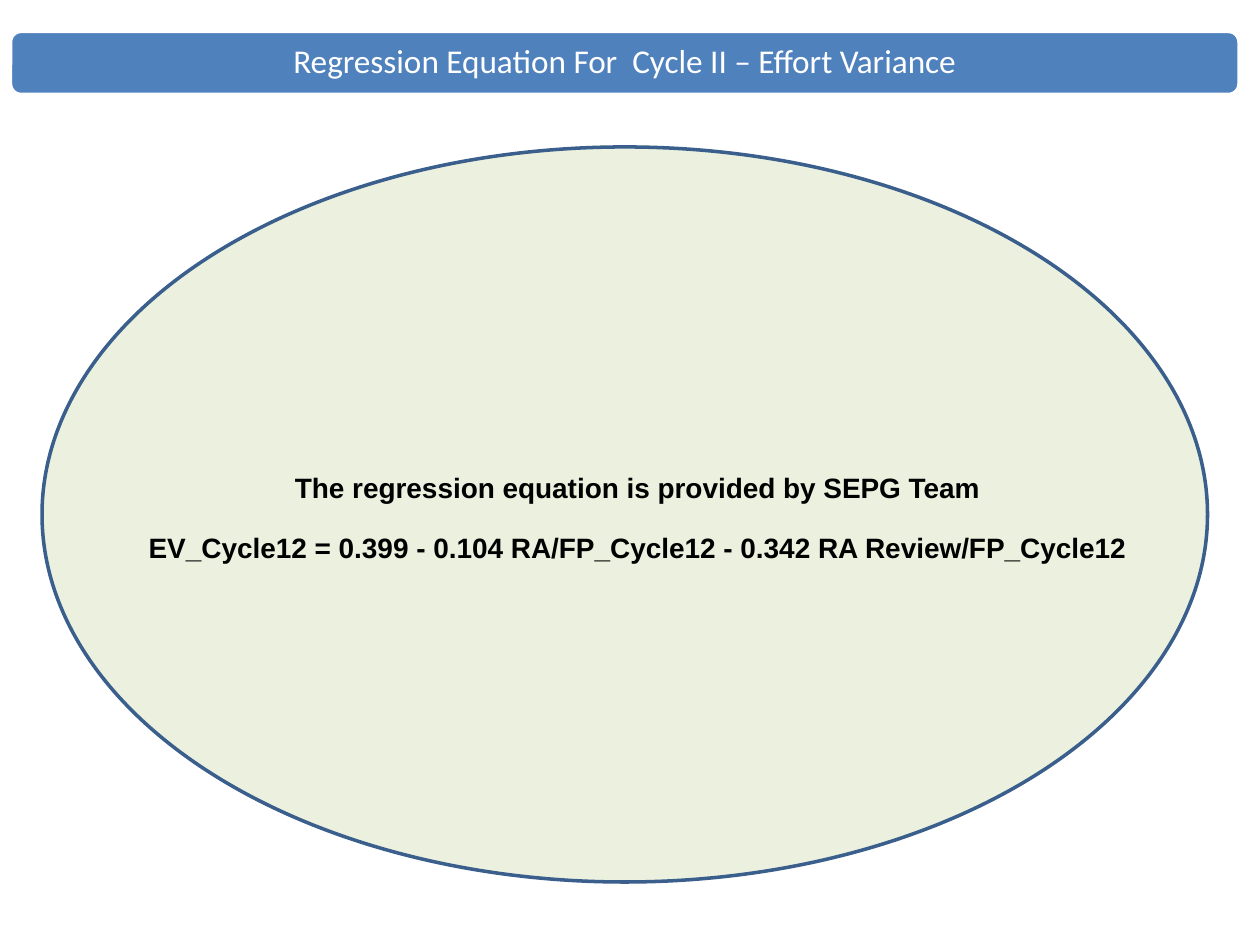
from lxml import etree
from pptx import Presentation
from pptx.dml.color import RGBColor
from pptx.enum.shapes import MSO_SHAPE
from pptx.enum.text import MSO_ANCHOR, PP_ALIGN
from pptx.oxml.ns import qn
from pptx.util import Pt

ROUND = MSO_SHAPE.ROUNDED_RECTANGLE
OVAL = MSO_SHAPE.OVAL
MIDDLE = MSO_ANCHOR.MIDDLE
BOTTOM = MSO_ANCHOR.BOTTOM
CENTER = PP_ALIGN.CENTER

WHITE = RGBColor(0xFF, 0xFF, 0xFF)
BLACK = RGBColor(0x00, 0x00, 0x00)
BLUE = RGBColor(0x4F, 0x81, 0xBD)
NAVY = RGBColor(0x3A, 0x5F, 0x8C)
GREEN = RGBColor(0xEB, 0xF1, 0xDE)

PLAIN = "{2D5ABB26-0587-4C30-8999-92F81FD0307C}"
TITLE = "Regression Equation For  Cycle II – Effort Variance"
LINES = (
    "The regression equation is provided by SEPG Team",
    "EV_Cycle12 = 0.399 - 0.104 RA/FP_Cycle12 - 0.342 RA Review/FP_Cycle12",
)
ROWS = (19.5, 18, 34.5, 34.5)
COLS = 8


def add_shape(slide, kind, box, fill, line):
    shape = slide.shapes.add_shape(kind, *map(Pt, box))
    shape.shadow.inherit = False
    shape.fill.solid()
    shape.fill.fore_color.rgb = fill
    shape.line.color.rgb = line
    shape.line.width = Pt(2)


def set_text(para, text, face, size, color, bold=False):
    para.text = text
    para.alignment = CENTER
    font = para.font
    font.name, font.size, font.bold = face, Pt(size), bold
    font.color.rgb = color


def set_inset(part, size):
    part.margin_left = part.margin_right = Pt(size)
    part.margin_top = part.margin_bottom = Pt(size)


def add_title(slide, box):
    frame = slide.shapes.add_textbox(*map(Pt, box)).text_frame
    frame.word_wrap = True
    frame.vertical_anchor = MIDDLE
    set_inset(frame, 5.76)
    para = frame.paragraphs[0]
    para.line_spacing = 0.9
    set_text(para, TITLE, "Calibri", 19, WHITE)


def clear_cell(cell):
    cell.fill.background()
    cell.vertical_anchor = BOTTOM
    set_inset(cell, 0)
    para = cell.text_frame.paragraphs[0]
    etree.SubElement(para._p, qn("a:endParaRPr"), sz="1000")


def add_table(slide, left, top, width):
    box = map(Pt, (left, top, width, sum(ROWS)))
    frame = slide.shapes.add_table(len(ROWS), COLS, *box)
    table = frame.table
    table.first_row = table.horz_banding = False
    table._tbl.tblPr.find(qn("a:tableStyleId")).text = PLAIN
    for row, height in zip(table.rows, ROWS):
        row.height = Pt(height)
    for col in table.columns:
        col.width = Pt(width / COLS)
    for cell in table.iter_cells():
        clear_cell(cell)
    table.cell(0, 0).merge(table.cell(0, COLS - 2))
    for row, text in enumerate(LINES, 2):
        cell = table.cell(row, 0)
        cell.merge(table.cell(row, COLS - 1))
        para = cell.text_frame.paragraphs[0]
        set_text(para, text, "Arial", 16, BLACK, True)


def main():
    deck = Presentation()
    deck.slide_width, deck.slide_height = Pt(720), Pt(540)
    slide = deck.slides.add_slide(deck.slide_layouts[6])
    add_shape(slide, ROUND, (6, 18, 702, 36), BLUE, WHITE)
    add_title(slide, (7.75, 19.75, 698.5, 32.5))
    add_shape(slide, OVAL, (24, 84, 666, 420), GREEN, NAVY)
    add_table(slide, 48, 216, 632.8)
    deck.save("out.pptx")


if __name__ == "__main__":
    main()
